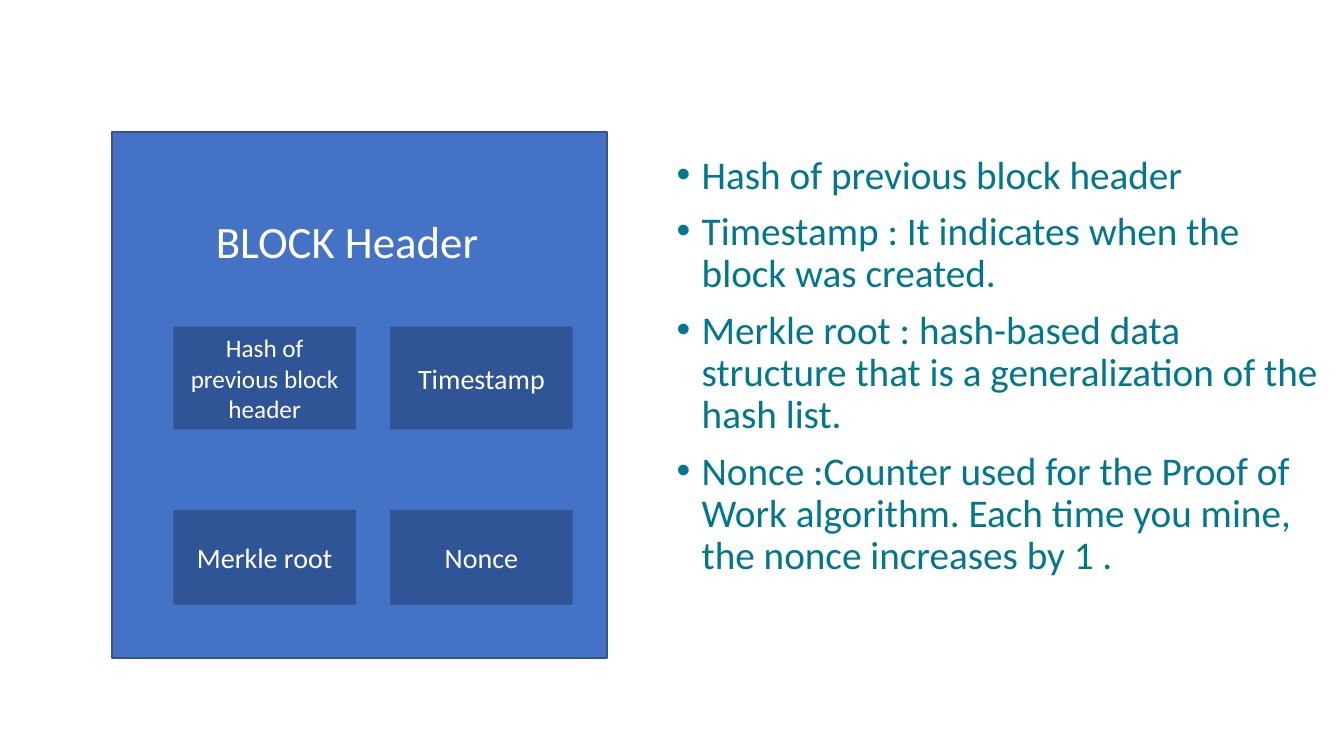
from pptx import Presentation
from pptx.dml.color import RGBColor
from pptx.enum.shapes import MSO_SHAPE
from pptx.enum.text import MSO_ANCHOR, MSO_AUTO_SIZE, PP_ALIGN
from pptx.util import Inches, Pt

WHITE = RGBColor(0xFF, 0xFF, 0xFF)
BLUE = RGBColor(0x44, 0x72, 0xC4)
EDGE = RGBColor(0x32, 0x54, 0x91)
NAVY = RGBColor(0x2F, 0x55, 0x97)
TEAL = RGBColor(0x00, 0x77, 0x8D)

HEADING = "BLOCK Header"
FIELDS = [
    [("Hash of previous block header", 18), ("Timestamp", 20)],
    [("Merkle root", 20), ("Nonce", 20)],
]
ROWS = [(3.24, 1.02), (5.06, 0.94)]
FIELD_LEFT, FIELD_WIDTH, FIELD_STEP = 1.72, 1.81, 2.15
BULLETS = [
    "Hash of previous block header",
    "Timestamp : It indicates when the block was created.",
    "Merkle root : hash-based data structure that is a generalization of the hash list.",
    "Nonce :Counter used for the Proof of Work algorithm. Each time you mine, the nonce increases by 1 .",
]


def place(sp, left, top, width, height):
    sp.left, sp.top = Inches(left), Inches(top)
    sp.width, sp.height = Inches(width), Inches(height)


def add_text(p, text, size, color=WHITE, align=PP_ALIGN.LEFT):
    p.alignment = align
    r = p.add_run()
    r.text = text
    r.font.name = "Calibri"
    r.font.size = Pt(size)
    r.font.color.rgb = color


def add_box(s, left, top, width, height, fill, line=None):
    sp = s.shapes.add_shape(MSO_SHAPE.RECTANGLE, Inches(left), Inches(top),
                            Inches(width), Inches(height))
    sp.shadow.inherit = False
    sp.fill.solid()
    sp.fill.fore_color.rgb = fill
    if line is None:
        sp.line.fill.background()
    else:
        sp.line.color.rgb = line
        sp.line.width = Pt(1)
    return sp


def main():
    prs = Presentation()
    prs.slide_width, prs.slide_height = Inches(13.33), Inches(7.5)
    s = prs.slides.add_slide(prs.slide_layouts[1])
    title, body = s.placeholders

    panel = add_box(s, 1.11, 1.31, 4.91, 5.22, BLUE, EDGE)
    panel.element.addnext(title.element)
    place(title, 2.04, 2.07, 4.34, 1.18)
    tf = title.text_frame
    tf.auto_size = MSO_AUTO_SIZE.NONE
    tf.vertical_anchor = MSO_ANCHOR.TOP
    add_text(tf.paragraphs[0], HEADING, 32)

    for fields, (top, height) in zip(FIELDS, ROWS):
        for col, (text, size) in enumerate(fields):
            sp = add_box(s, FIELD_LEFT + col * FIELD_STEP, top, FIELD_WIDTH, height, NAVY)
            tf = sp.text_frame
            tf.word_wrap = True
            tf.vertical_anchor = MSO_ANCHOR.MIDDLE
            add_text(tf.paragraphs[0], text, size, align=PP_ALIGN.CENTER)

    place(body, 6.61, 1.49, 6.63, 4.9)
    tf = body.text_frame
    tf.auto_size = MSO_AUTO_SIZE.NONE
    for i, text in enumerate(BULLETS):
        p = tf.add_paragraph() if i else tf.paragraphs[0]
        p.line_spacing = 0.9
        p.space_before = Pt(10)
        add_text(p, text, 28, TEAL)
        pPr = p._p.get_or_add_pPr()
        pPr.set("marL", str(Inches(0.25)))
        pPr.set("indent", str(Inches(-0.25)))

    prs.save("out.pptx")


if __name__ == "__main__":
    main()
